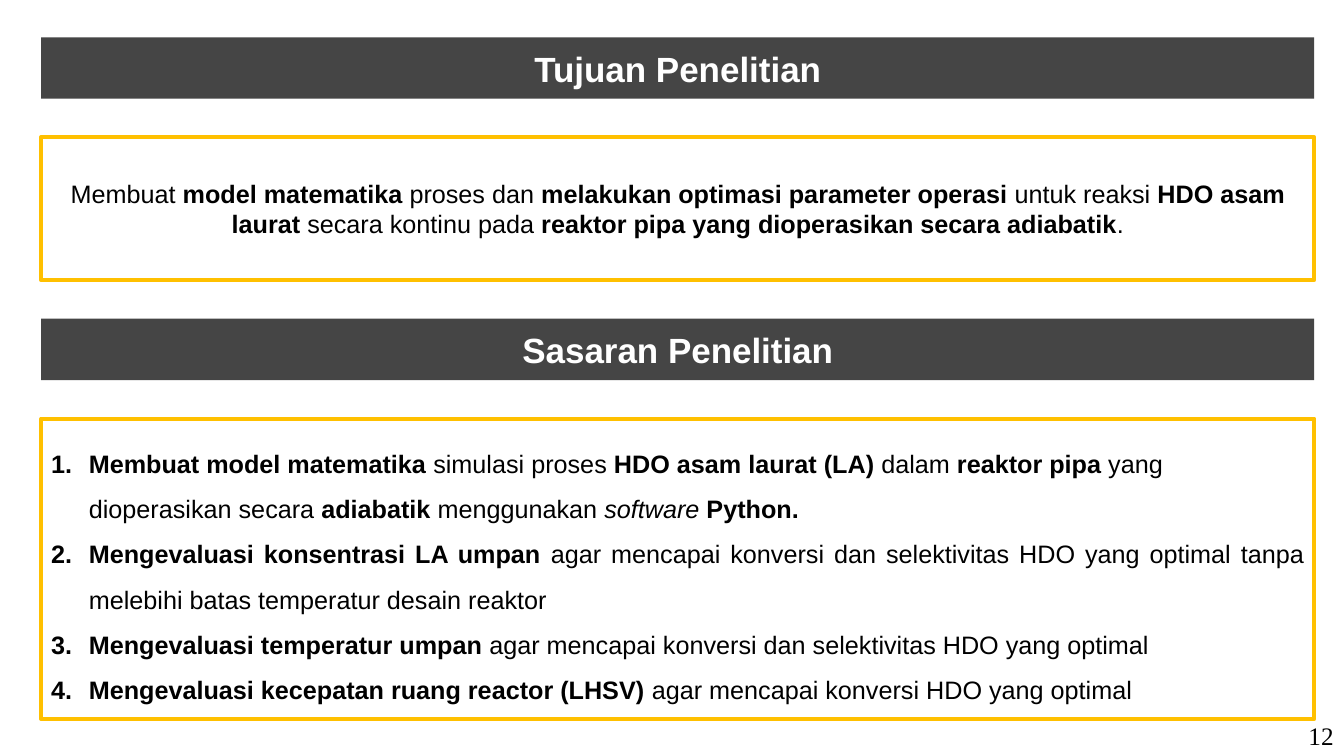
from dataclasses import dataclass

from lxml import etree
from pptx import Presentation
from pptx import util as u
from pptx.dml import color
from pptx.enum import shapes, text
from pptx.oxml import ns

LEFT, WIDTH = 1.04, 32.08
INDENT = 0.95
DARK, GOLD, WHITE, BLACK = "454545", "FFC000", "FFFFFF", "000000"
CENTER, JUSTIFY = text.PP_ALIGN.CENTER, text.PP_ALIGN.JUSTIFY


@dataclass(frozen=True)
class Run:
    words: str
    bold: bool = False
    italic: bool = False


@dataclass(frozen=True)
class Item:
    runs: list[Run]
    align: text.PP_ALIGN = text.PP_ALIGN.LEFT
    space_after: float = 0


@dataclass(frozen=True)
class Heading:
    title: str
    top: float


def bold(words: str) -> Run:
    return Run(words, bold=True)


HEADINGS = [Heading("Tujuan Penelitian", 0.94), Heading("Sasaran Penelitian", 8.03)]

GOAL = Item([
    Run("Membuat "), bold("model matematika"), Run(" proses dan "),
    bold("melakukan optimasi parameter operasi "), Run("untuk reaksi "),
    bold("HDO asam laurat "), Run("secara kontinu pada "),
    bold("reaktor pipa yang dioperasikan secara adiabatik"), Run("."),
], CENTER)

TARGETS = [
    Item([
        bold("Membuat model matematika "), Run("simulasi proses "),
        bold("HDO asam laurat (LA) "), Run("dalam "), bold("reaktor pipa "),
        Run("yang dioperasikan secara "), bold("adiabatik "),
        Run("menggunakan "), Run("software ", italic=True), bold("Python."),
    ]),
    Item([
        bold("Mengevaluasi konsentrasi LA umpan "),
        Run("agar mencapai konversi dan selektivitas HDO yang optimal tanpa "
            "melebihi batas temperatur desain reaktor"),
    ], JUSTIFY),
    Item([
        bold("Mengevaluasi temperatur umpan "),
        Run("agar mencapai konversi dan selektivitas HDO yang optimal"),
    ]),
    Item([
        bold("Mengevaluasi kecepatan ruang reactor (LHSV) "),
        Run("agar mencapai konversi HDO yang optimal"),
    ], space_after=8),
]


def rgb(value: str) -> color.RGBColor:
    return color.RGBColor.from_string(value)


def add_runs(paragraph, runs: list[Run], size: float, ink: str, font: str = "Arial") -> None:
    for part in runs:
        run = paragraph.add_run()
        run.text = part.words
        run.font.name = font
        run.font.size = u.Pt(size)
        run.font.bold = part.bold
        run.font.italic = part.italic
        run.font.color.rgb = rgb(ink)


def add_box(slide, top: float, height: float):
    shape = slide.shapes.add_shape(
        shapes.MSO_SHAPE.RECTANGLE, u.Cm(LEFT), u.Cm(top), u.Cm(WIDTH), u.Cm(height))
    shape.shadow.inherit = False
    shape.text_frame.word_wrap = True
    shape.text_frame.vertical_anchor = text.MSO_ANCHOR.MIDDLE
    return shape


def add_heading(slide, heading: Heading) -> None:
    shape = add_box(slide, heading.top, 1.55)
    shape.fill.solid()
    shape.fill.fore_color.rgb = rgb(DARK)
    shape.line.fill.background()
    paragraph = shape.text_frame.paragraphs[0]
    paragraph.alignment = CENTER
    add_runs(paragraph, [bold(heading.title)], 25, WHITE)


def number_paragraph(paragraph) -> None:
    properties = paragraph._p.get_or_add_pPr()
    properties.set("marL", str(u.Cm(INDENT)))
    properties.set("indent", str(-u.Cm(INDENT)))
    font = etree.SubElement(properties, ns.qn("a:buFont"))
    font.set("typeface", "+mj-lt")
    etree.SubElement(properties, ns.qn("a:buAutoNum")).set("type", "arabicPeriod")


def add_frame(slide, top: float, height: float, items: list[Item], numbered: bool) -> None:
    shape = add_box(slide, top, height)
    shape.fill.background()
    shape.line.color.rgb = rgb(GOLD)
    shape.line.width = u.Pt(3)
    frame = shape.text_frame
    for index, item in enumerate(items):
        paragraph = frame.add_paragraph() if index else frame.paragraphs[0]
        if numbered:
            number_paragraph(paragraph)
            paragraph.line_spacing = 1.5
        paragraph.alignment = item.align
        paragraph.space_after = u.Pt(item.space_after)
        add_runs(paragraph, item.runs, 18, BLACK)


def add_page_number(slide, number: str) -> None:
    box = slide.shapes.add_textbox(u.Cm(32.05), u.Cm(18.03), u.Cm(1.81), u.Cm(1.02))
    box.text_frame.word_wrap = True
    paragraph = box.text_frame.paragraphs[0]
    paragraph.alignment = text.PP_ALIGN.RIGHT
    add_runs(paragraph, [Run(number)], 18, BLACK, "Times New Roman")


def main() -> None:
    presentation = Presentation()
    presentation.slide_width = u.Cm(33.87)
    presentation.slide_height = u.Cm(19.05)
    slide = presentation.slides.add_slide(presentation.slide_layouts[6])
    add_page_number(slide, "12")
    for heading in HEADINGS:
        add_heading(slide, heading)
    add_frame(slide, 3.46, 3.6, [GOAL], numbered=False)
    add_frame(slide, 10.55, 7.57, TARGETS, numbered=True)
    presentation.save("out.pptx")


if __name__ == "__main__":
    main()
